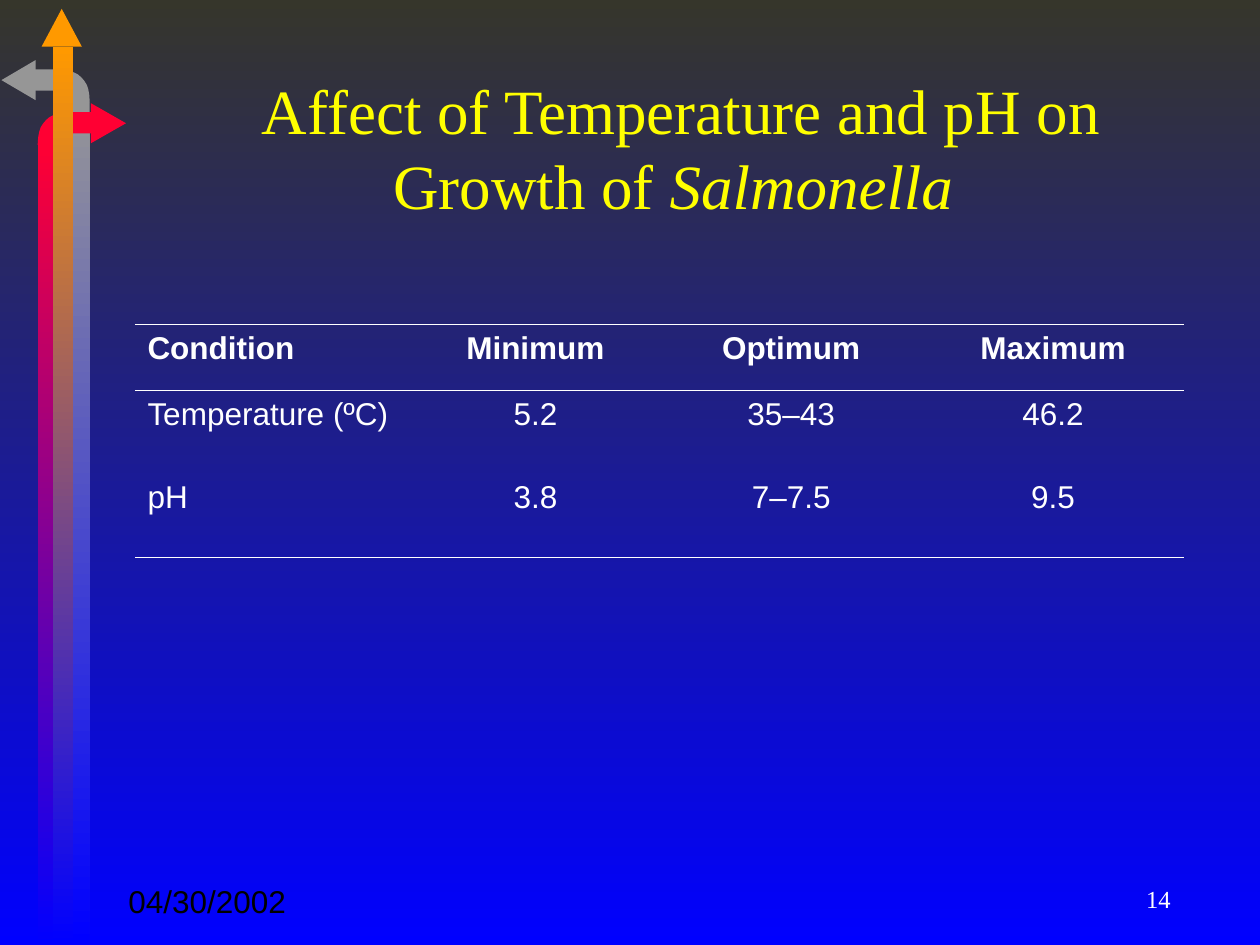
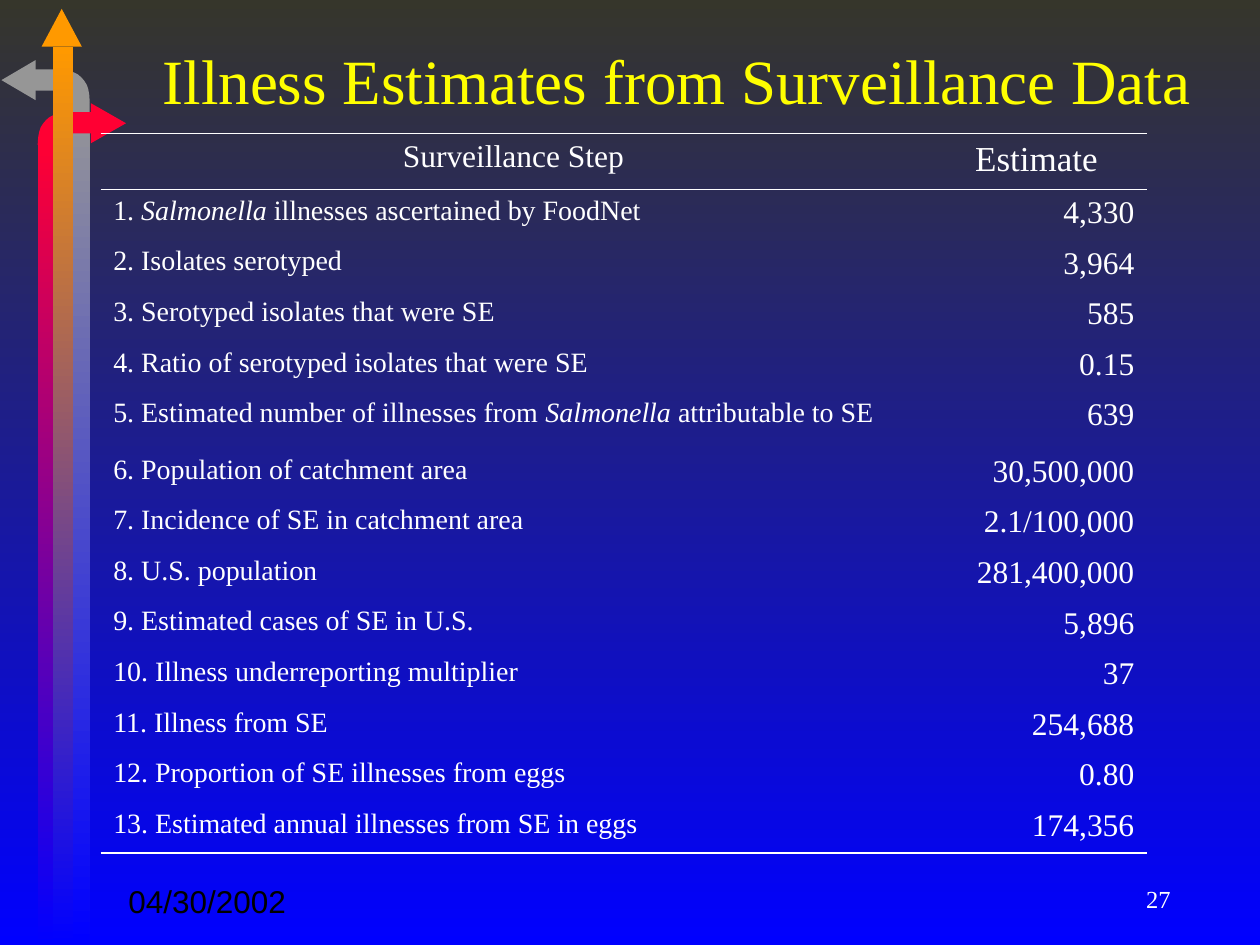
from math import cos, pi, sin

from pptx import Presentation
from pptx.dml.color import RGBColor
from pptx.enum.shapes import MSO_SHAPE as Shape
from pptx.enum.text import MSO_ANCHOR as Anchor, PP_ALIGN as Align
from pptx.oxml.ns import qn
from pptx.util import Cm, Pt
from lxml.etree import SubElement

COLORS = {"top": "36362B", "base": "0000FF", "gray": "969696", "orange": "FF9900",
          "red": "FF0033", "title": "FFFF00", "white": "FFFFFF", "date": "000000"}
SERIF, SANS = "Times New Roman", "Arial"

CONDITIONS = [
    ("Condition", "Minimum", "Optimum", "Maximum"),
    ("Temperature (ºC)", "5.2", "35–43", "46.2"),
    ("pH", "3.8", "7–7.5", "9.5"),
]
ESTIMATES = [
    ("*Salmonella* illnesses ascertained by FoodNet", "4,330"),
    ("Isolates serotyped", "3,964"),
    ("Serotyped isolates that were SE", "585"),
    ("Ratio of serotyped isolates that were SE", "0.15"),
    ("Estimated number of illnesses from *Salmonella *attributable to SE", "639"),
    ("Population of catchment area", "30,500,000"),
    ("Incidence of SE in catchment area", "2.1/100,000"),
    ("U.S. population", "281,400,000"),
    ("Estimated cases of SE in U.S.", "5,896"),
    ("Illness underreporting multiplier", "37"),
    ("Illness from SE", "254,688"),
    ("Proportion of SE illnesses from eggs", "0.80"),
    ("Estimated annual illnesses from SE in eggs", "174,356"),
]


class Deck:
    """Holds the shared style and the slide being built."""

    def __init__(self):
        self.deck = Presentation()
        self.deck.slide_width, self.deck.slide_height = Cm(25.4), Cm(19.05)
        self.fade(self.deck.slide_master.background.fill, "top")
        self.page = None

    def color(self, name):
        return RGBColor.from_string(COLORS[name])

    def fade(self, fill, name):
        fill.gradient()
        fill.gradient_angle = 270
        for stop, shade, position in zip(fill.gradient_stops, (name, "base"), (0, 1)):
            stop.color.rgb = self.color(shade)
            stop.position = position

    def finish(self, shape, color, faded=False):
        if faded:
            self.fade(shape.fill, color)
        else:
            shape.fill.solid()
            shape.fill.fore_color.rgb = self.color(color)
        shape.line.fill.background()
        shape.shadow.inherit = False

    def shape(self, kind, place, color, rotation=0, faded=False):
        shape = self.page.shapes.add_shape(kind, *map(Cm, place))
        shape.rotation = rotation
        self.finish(shape, color, faded)

    def elbow(self, center_x, center_y, side, color):
        def arc(radius_x, radius_y):
            angles = [step * pi / 20 for step in range(11)]
            return [(center_x + side * radius_x * abs(sin(angle)) ** 0.8,
                     center_y - radius_y * abs(cos(angle)) ** 0.8) for angle in angles]

        outline = arc(69, 66) + arc(28, 23)[::-1]
        builder = self.page.shapes.build_freeform(*outline[0], scale=Cm(0.01))
        builder.add_line_segments(outline[1:], close=True)
        self.finish(builder.convert_to_shape(), color)

    def arrows(self):
        self.shape(Shape.RECTANGLE, (0.71, 1.4, 0.41, 0.43), "gray")
        self.elbow(112, 206, 1, "gray")
        self.shape(Shape.ISOSCELES_TRIANGLE, (-0.03, 1.27, 0.81, 0.69), "gray", 270)
        self.shape(Shape.ISOSCELES_TRIANGLE, (0.84, 0.18, 0.81, 0.76), "orange")
        self.shape(Shape.RECTANGLE, (1.4, 2.06, 0.41, 16.99), "gray", faded=True)
        self.elbow(145, 292, -1, "red")
        self.shape(Shape.ISOSCELES_TRIANGLE, (1.78, 2.13, 0.81, 0.71), "red", 90)
        self.shape(Shape.RECTANGLE, (1.45, 2.26, 0.41, 0.43), "red")
        self.shape(Shape.RECTANGLE, (0.76, 2.9, 0.41, 16.15), "red", faded=True)
        self.shape(Shape.RECTANGLE, (1.07, 0.94, 0.41, 18.11), "orange", faded=True)

    def fill_para(self, para, text, size, font, color, align=Align.LEFT, bold=False):
        para.alignment = align
        for index, part in enumerate(text.split("*")):
            if not part:
                continue
            span = para.add_run()
            span.text = part
            span.font.size, span.font.name = Pt(size), font
            span.font.bold, span.font.italic = bold, index % 2 == 1
            span.font.color.rgb = self.color(color)

    def text(self, place, text, size, font, color, align=Align.LEFT):
        box = self.page.shapes.add_textbox(*map(Cm, place))
        box.text_frame.word_wrap = True
        box.text_frame.vertical_anchor = Anchor.MIDDLE
        self.fill_para(box.text_frame.paragraphs[0], text, size, font, color, align)

    def start(self, title, left, top, number):
        self.page = self.deck.slides.add_slide(self.deck.slide_layouts[6])
        self.arrows()
        self.text((left, top, 21.46, 3.18), title, 36, SERIF, "title", Align.CENTER)
        self.text((18.21, 17.7, 5.64, 0.84), number, 14, SERIF, "white", Align.RIGHT)
        self.text((2.34, 17.75, 6.81, 0.84), "04/30/2002", 18, SANS, "date")

    def border(self, cell, edge, width):
        line = SubElement(cell._tc.get_or_add_tcPr(), qn(f"a:ln{edge}"))
        if width:
            line.set("w", str(Pt(width)))
            fill = SubElement(line, qn("a:solidFill"))
            SubElement(fill, qn("a:srgbClr")).set("val", COLORS["white"])
        else:
            SubElement(line, qn("a:noFill"))

    def table(self, left, top, widths, heights, rows, rules, style):
        frame = self.page.shapes.add_table(len(rows), len(widths), Cm(left), Cm(top),
                                           Cm(sum(widths)), Cm(sum(heights)))
        table = frame.table
        table.first_row = table.horz_banding = False
        for column, width in zip(table.columns, widths):
            column.width = Cm(width)
        for r, (values, height) in enumerate(zip(rows, heights)):
            table.rows[r].height = Cm(height)
            for c, value in enumerate(values):
                cell = table.cell(r, c)
                self.fill_para(cell.text_frame.paragraphs[0], value, color="white",
                               **style(r, c))
                for edge, width in zip("LRTB", (0, 0, rules.get(r), rules.get(r + 1))):
                    self.border(cell, edge, width)
                cell.fill.background()


def condition_style(row, column):
    return {"size": 18, "font": SANS, "bold": row == 0,
            "align": Align.CENTER if column else Align.LEFT}


def estimate_style(row, column):
    if row == 0:
        return {"size": 20 if column else 18, "font": SERIF, "align": Align.CENTER}
    return {"size": 18 if column else 16, "font": SERIF,
            "align": Align.RIGHT if column else Align.LEFT}


def main():
    show = Deck()
    show.start("Affect of Temperature and pH on Growth of *Salmonella *", 3, 1.37, "14")
    show.table(2.72, 6.54, (5.56, 5.03, 5.28, 5.28), (1.33, 1.68, 1.68), CONDITIONS,
               {0: 0.45, 1: 0.45, 3: 0.45}, condition_style)

    show.start("Illness Estimates from Surveillance Data", 2.92, 0, "27")
    steps = [(f"{number}. {step}", value)
             for number, (step, value) in enumerate(ESTIMATES, 1)]
    heights = [1.12] + [1.02] * 4 + [1.14] + [1.02] * 8
    show.table(2.03, 2.69, (16.64, 4.45), heights,
               [("Surveillance Step", "Estimate")] + steps,
               {0: 1.08, 1: 0.45, 14: 1.08}, estimate_style)
    show.deck.save("out.pptx")


if __name__ == "__main__":
    main()
